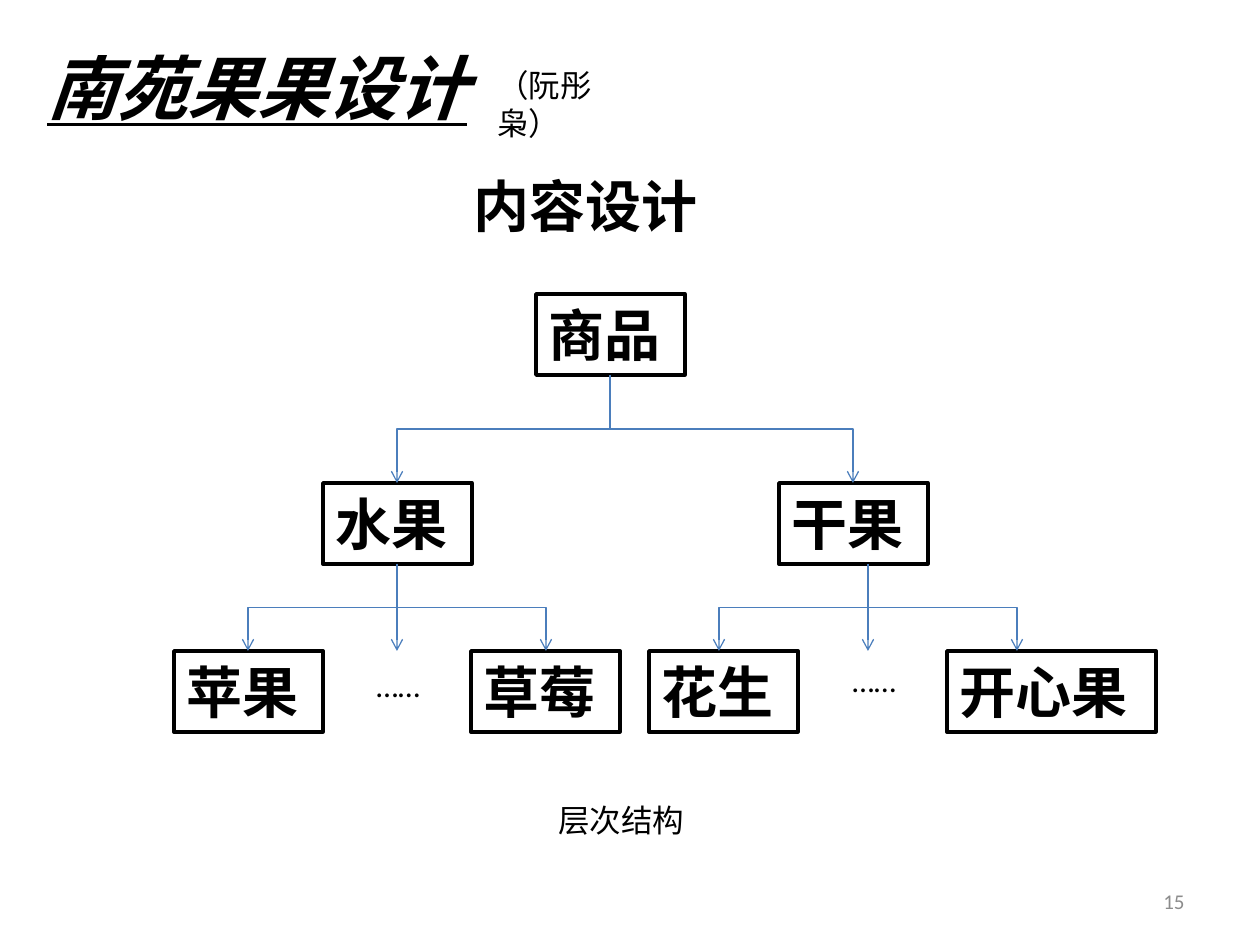
from dataclasses import dataclass

from lxml.etree import SubElement
from pptx import Presentation
from pptx.dml.color import RGBColor
from pptx.enum.shapes import MSO_CONNECTOR as Link, MSO_SHAPE as Preset
from pptx.enum.text import MSO_ANCHOR as Anchor, PP_ALIGN as Align
from pptx.oxml.ns import qn
from pptx.util import Emu, Pt

PX = 914400 // 126
BLACK = RGBColor(0x00, 0x00, 0x00)
GREY = RGBColor(0x8C, 0x8C, 0x8C)
BLUE = RGBColor(0x4B, 0x7E, 0xBC)
LATIN, HAN = "Calibri", "Noto Sans CJK SC"
NODE_HEIGHT = 81
ROOT_Y, GROUP_Y, ITEM_Y = 294, 483, 651


@dataclass(frozen=True)
class Label:
    """A free text with its frame in pixels."""
    text: str
    left: int
    top: int
    width: int
    height: int
    size: int = 18
    font: str = LATIN
    bold: bool = False
    slanted: bool = False
    color: RGBColor = BLACK
    align: Align = Align.LEFT
    anchor: Anchor = Anchor.TOP


@dataclass(frozen=True)
class Node:
    """A framed entry of the hierarchy."""
    text: str
    left: int
    top: int
    width: int = 149


@dataclass(frozen=True)
class Branch:
    """Arrows that leave one point and end above several children."""
    x: int
    top: int
    bottom: int
    targets: tuple[int, ...]


LABELS = (
    Label("南苑果果设计", 35, 38, 725, 97, 40, HAN, bold=True, slanted=True),
    Label("15", 903, 876, 294, 50, 12, color=GREY, align=Align.RIGHT, anchor=Anchor.MIDDLE),
    Label("内容设计", 461, 165, 297, 81, 32, HAN, bold=True),
    Label("……", 364, 660, 87, 50),
    Label("……", 840, 655, 87, 50),
    Label("层次结构", 546, 795, 159, 50),
    Label("（阮彤枭）", 485, 60, 164, 50),
)
NODES = (
    Node("商品", 536, ROOT_Y),
    Node("水果", 323, GROUP_Y),
    Node("干果", 779, GROUP_Y),
    Node("苹果", 174, ITEM_Y),
    Node("草莓", 471, ITEM_Y),
    Node("花生", 649, ITEM_Y),
    Node("开心果", 947, ITEM_Y, 209),
)
BRANCHES = (
    Branch(610, ROOT_Y + NODE_HEIGHT, GROUP_Y, (397, 853)),
    Branch(397, GROUP_Y + NODE_HEIGHT, ITEM_Y, (248, 397, 546)),
    Branch(868, GROUP_Y + NODE_HEIGHT, ITEM_Y, (719, 868, 1017)),
)


def px(*lengths: float) -> list[Emu]:
    """Turn pixels into EMU."""
    return [Emu(round(length * PX)) for length in lengths]


def write(shape, label: Label) -> None:
    """Put the label's text into a shape."""
    frame = shape.text_frame
    frame.word_wrap = True
    frame.vertical_anchor = label.anchor
    line = frame.paragraphs[0]
    line.text = label.text
    line.alignment = label.align
    font = line.font
    font.name, font.size, font.bold = label.font, Pt(label.size), label.bold
    font.italic = font.underline = label.slanted
    font.color.rgb = label.color


def draw_label(slide, label: Label) -> None:
    """Draw a free text."""
    box = slide.shapes.add_textbox(*px(label.left, label.top, label.width, label.height))
    write(box, label)


def draw_node(slide, node: Node) -> None:
    """Draw a framed entry."""
    frame = (node.left, node.top, node.width, NODE_HEIGHT)
    box = slide.shapes.add_shape(Preset.RECTANGLE, *px(*frame))
    box.shadow.inherit = False
    box.fill.background()
    box.line.color.rgb = BLACK
    box.line.width = Pt(2)
    write(box, Label(node.text, *frame, size=32, bold=True))


def draw_arrow(slide, branch: Branch, target: int) -> None:
    """Draw an arrow to one child, bent halfway down unless it is straight."""
    run, drop = target - branch.x, branch.bottom - branch.top
    if run == 0:
        ends = px(branch.x, branch.top, target, branch.bottom)
        arrow = slide.shapes.add_connector(Link.STRAIGHT, *ends)
    else:
        # A bent connector starts sideways, so it is laid out flat and turned.
        middle_x, middle_y = (branch.x + target) / 2, (branch.top + branch.bottom) / 2
        half_w, half_h = drop / 2, abs(run) / 2
        arrow = slide.shapes.add_connector(Link.ELBOW, *px(
            middle_x - half_w, middle_y - half_h, middle_x + half_w, middle_y + half_h))
        turn = arrow.element.spPr.find(qn("a:xfrm"))
        turn.set("rot", str((90 if run < 0 else 270) * 60000))
        if run > 0:
            turn.set("flipH", "1")
    arrow.line.color.rgb = BLUE
    arrow.line.width = Pt(0.75)
    properties = arrow.element.spPr
    SubElement(properties.find(qn("a:ln")), qn("a:tailEnd"), type="arrow")
    SubElement(properties, qn("a:effectLst"))


def main() -> None:
    """Build and save the slide."""
    deck = Presentation()
    deck.slide_width, deck.slide_height = px(1260, 945)
    slide = deck.slides.add_slide(deck.slide_layouts[6])
    for label in LABELS:
        draw_label(slide, label)
    for node in NODES:
        draw_node(slide, node)
    for branch in BRANCHES:
        for target in branch.targets:
            draw_arrow(slide, branch, target)
    deck.save("out.pptx")


main()
